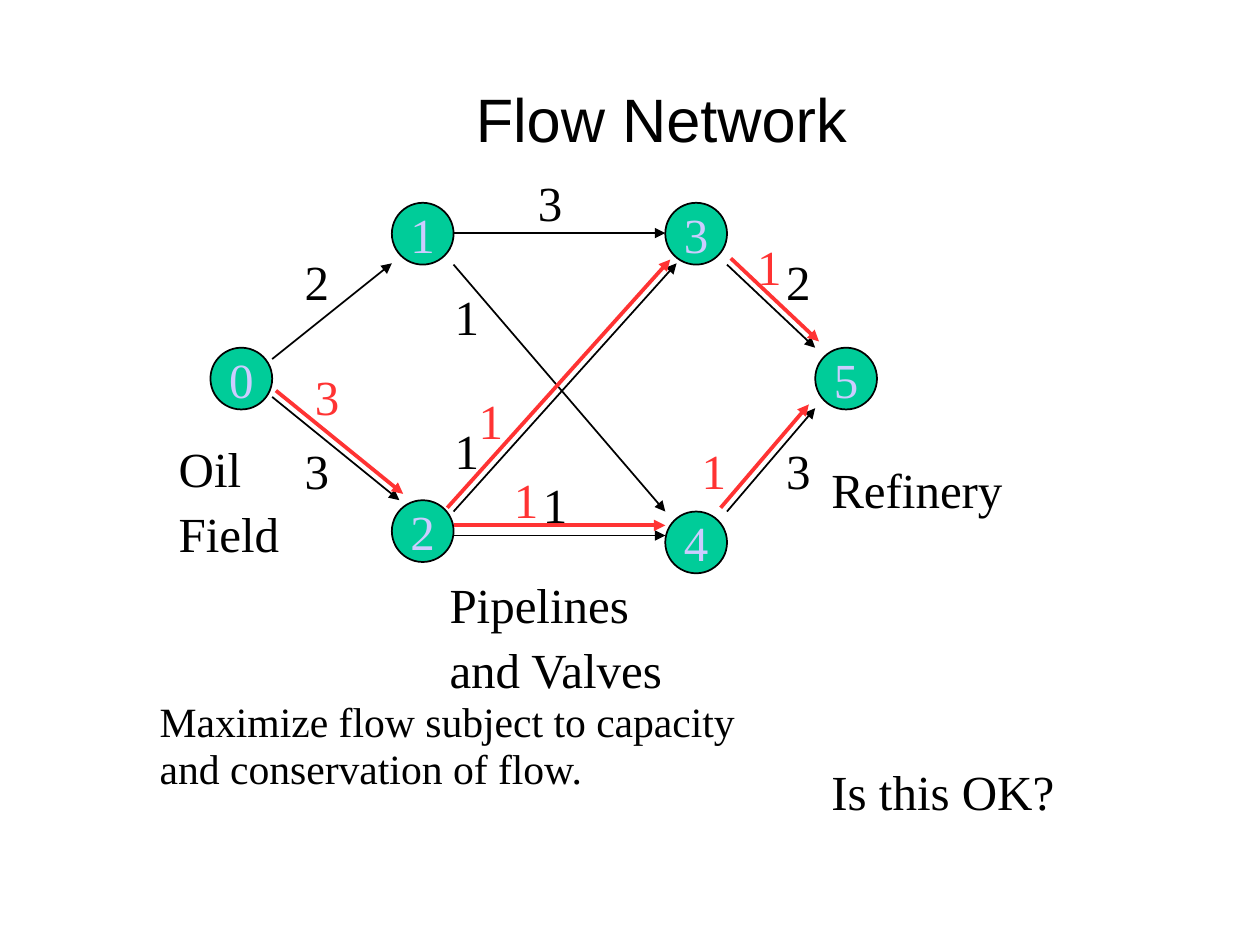
from collections import namedtuple

from lxml import etree
from pptx import Presentation
from pptx import util as u
from pptx.dml.color import RGBColor
from pptx.enum import shapes, text
from pptx.oxml.ns import qn

COLORS = {"ink": "000000", "node": "00CC99", "digit": "CCCCFF", "flow": "FF3333"}
SERIF = "Times New Roman"
NODE_SIZE = 0.49
LABEL_SIZE = (0.59, 0.57)

# Top left corner of each node inside the network box
NODES = {
    0: (0, 1.15), 1: (1.44, 0), 2: (1.44, 2.36),
    3: (3.61, 0), 4: (3.61, 2.45), 5: (4.8, 1.15),
}

# leave and arrive are offsets inside the two nodes, labels are (value, x, y)
# inside the network box, and shift moves the flow arrow off the pipe.
Pipe = namedtuple("Pipe", "source target leave arrive capacity flow shift",
                  defaults=(None, None))
PIPES = [
    Pipe(0, 2, (0.49, 0.39), (0.06, 0), ("3", 0.64, 1.89), ("3", 0.72, 1.3), (0.03, -0.05)),
    Pipe(2, 3, (0.49, 0.09), (0.09, 0.48), ("1", 1.83, 1.73), ("1", 2.02, 1.49), (-0.05, -0.03)),
    Pipe(0, 1, (0.49, 0.09), (0, 0.48), ("2", 0.64, 0.39)),
    Pipe(3, 5, (0.49, 0.49), (0, 0), ("2", 4.46, 0.39), ("1", 4.23, 0.27), (0.03, -0.05)),
    Pipe(1, 4, (0.49, 0.49), (0, 0), ("1", 1.83, 0.67)),
    Pipe(4, 5, (0.49, 0), (0, 0.48), ("3", 4.46, 1.89), ("1", 3.79, 1.89), (-0.05, -0.03)),
    Pipe(2, 4, (0.49, 0.28), (0, 0.19), ("1", 2.53, 2.16), ("1", 2.3, 2.12), (0, -0.08)),
    Pipe(1, 3, (0.49, 0.24), (0, 0.24), ("3", 2.49, -0.24)),
]


def rgb(name):
    return RGBColor.from_string(COLORS[name])


def add_run(paragraph, wording, size, color="ink", font=SERIF):
    run = paragraph.add_run()
    run.text = wording
    run.font.size = u.Pt(size)
    run.font.name = font
    run.font.color.rgb = rgb(color)


def set_indent(paragraph, margin, first_line):
    properties = paragraph._p.get_or_add_pPr()
    properties.set("marL", str(u.Inches(margin)))
    properties.set("indent", str(u.Inches(first_line)))


def add_title(slide, box, wording):
    frame = slide.shapes.add_textbox(*map(u.Inches, box)).text_frame
    frame.word_wrap = True
    frame.vertical_anchor = text.MSO_ANCHOR.MIDDLE
    title = frame.paragraphs[0]
    set_indent(title, 0.81, -0.31)
    title.alignment = text.PP_ALIGN.CENTER
    add_run(title, wording, 35, font="Arial")


def add_caption(slide, box, lines, size=28, spacing=0.9, color="ink"):
    frame = slide.shapes.add_textbox(*map(u.Inches, box)).text_frame
    frame.word_wrap = True
    for index, line in enumerate(lines):
        paragraph = frame.add_paragraph() if index else frame.paragraphs[0]
        set_indent(paragraph, 0.38, -0.37)
        paragraph.line_spacing = spacing
        if index:
            paragraph.space_before = u.Pt(7)
        add_run(paragraph, line, size, color)


def add_node(slide, left, top, number):
    size = u.Inches(NODE_SIZE)
    node = slide.shapes.add_shape(
        shapes.MSO_SHAPE.OVAL, u.Inches(left), u.Inches(top), size, size)
    node.shadow.inherit = False
    node.fill.solid()
    node.fill.fore_color.rgb = rgb("node")
    node.line.color.rgb = rgb("ink")
    node.line.width = u.Pt(1)
    frame = node.text_frame
    frame.word_wrap = False
    frame.vertical_anchor = text.MSO_ANCHOR.MIDDLE
    frame.paragraphs[0].alignment = text.PP_ALIGN.CENTER
    add_run(frame.paragraphs[0], str(number), 28, "digit")


def add_arrow(slide, start, end, color, width):
    arrow = slide.shapes.add_connector(
        shapes.MSO_CONNECTOR.STRAIGHT, *map(u.Inches, (*start, *end)))
    arrow.line.color.rgb = rgb(color)
    arrow.line.width = u.Pt(width)
    etree.SubElement(arrow.line._get_or_add_ln(), qn("a:tailEnd"), type="triangle")
    etree.SubElement(arrow._element.spPr, qn("a:effectLst"))


def add_network(slide, left, top):
    """Draw nodes and pipes with capacities, then the flows in red on top."""
    def port(node, offset, shift=(0, 0)):
        x, y = NODES[node]
        return left + x + offset[0] + shift[0], top + y + offset[1] + shift[1]

    def add_label(label, color):
        value, x, y = label
        add_caption(slide, (left + x, top + y, *LABEL_SIZE), [value], color=color)

    for number, (x, y) in NODES.items():
        add_node(slide, left + x, top + y, number)
    for pipe in PIPES:
        add_arrow(slide, port(pipe.source, pipe.leave),
                  port(pipe.target, pipe.arrive), "ink", 1)
        add_label(pipe.capacity, "ink")
    for pipe in PIPES:
        if pipe.flow:
            add_arrow(slide, port(pipe.source, pipe.leave, pipe.shift),
                      port(pipe.target, pipe.arrive, pipe.shift), "flow", 2.15)
            add_label(pipe.flow, "flow")


def main():
    deck = Presentation()
    deck.slide_width, deck.slide_height = u.Inches(10), u.Inches(7.5)
    slide = deck.slides.add_slide(deck.slide_layouts[6])
    add_title(slide, (0.75, 0.52, 8.5, 0.83), "Flow Network")
    add_caption(slide, (1.16, 5.58, 7.17, 0.76),
                ["Maximize flow subject to capacity", "and conservation of flow."],
                size=23.8, spacing=0.7)
    add_network(slide, 1.67, 1.61)
    add_caption(slide, (6.49, 3.65, 1.86, 0.6), ["Refinery"])
    add_caption(slide, (1.31, 3.48, 1.78, 1.22), ["Oil", "Field"])
    add_caption(slide, (3.46, 4.56, 2.6, 1.2), ["Pipelines", "and Valves"])
    add_caption(slide, (6.49, 6.05, 2.41, 0.6), ["Is this OK?"])
    deck.save("out.pptx")


if __name__ == "__main__":
    main()
